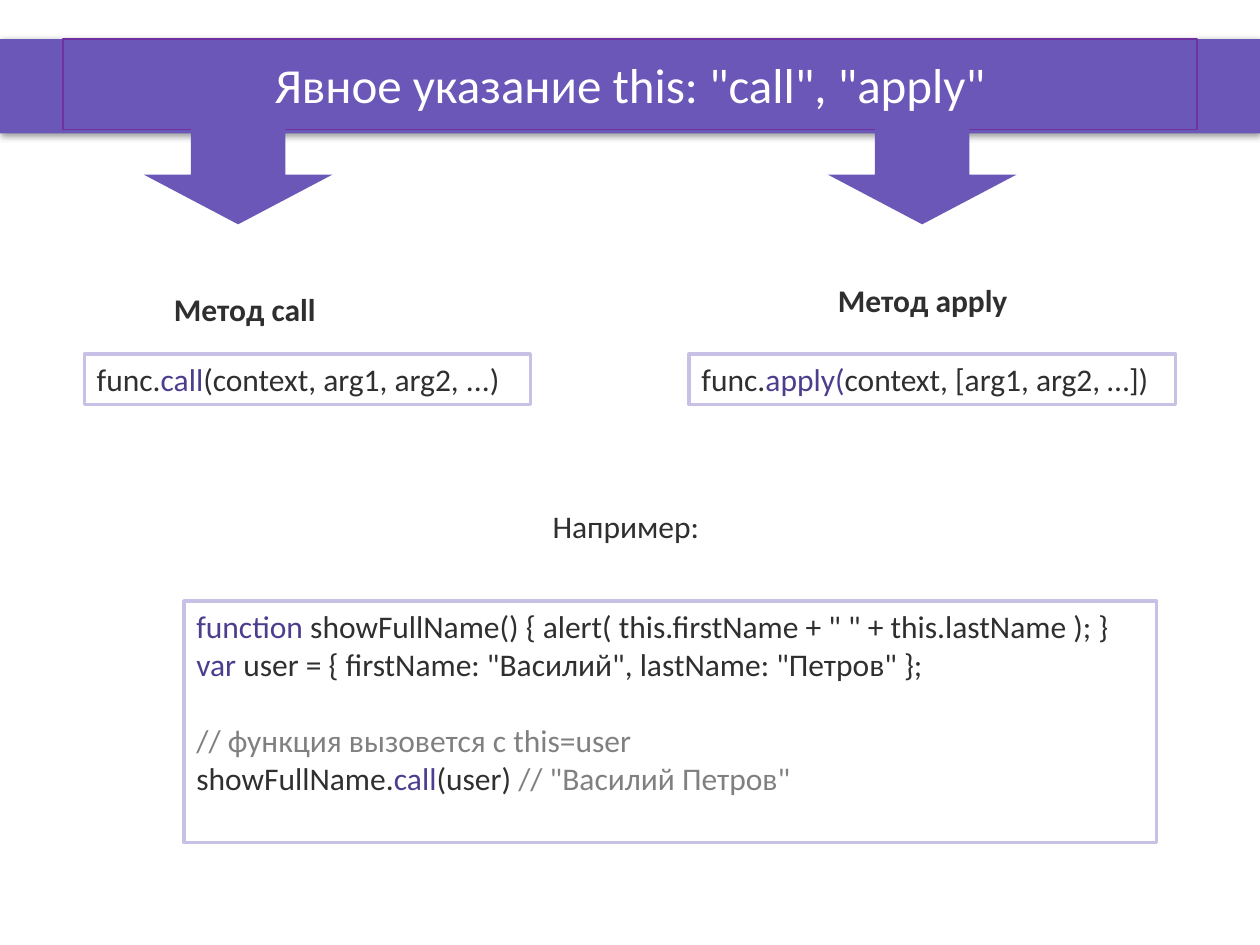
"""Build the slide on setting this explicitly with call and apply."""
from lxml.etree import SubElement
from pptx import Presentation
from pptx.dml.color import RGBColor
from pptx.enum.shapes import MSO_SHAPE as Shape
from pptx.enum.text import MSO_ANCHOR as Anchor, MSO_AUTO_SIZE as AutoSize, PP_ALIGN as Align
from pptx.oxml.ns import qn
from pptx.util import Pt

PURPLE = RGBColor(0x6A, 0x57, 0xB7)
KEYWORD = RGBColor(0x4D, 0x3D, 0x8E)
INK = RGBColor(0x2F, 0x2F, 0x2F)
GREY = RGBColor(0x80, 0x80, 0x80)
LILAC = RGBColor(0xC8, 0xC1, 0xE5)
PLUM = RGBColor(0x70, 0x30, 0xA0)
WHITE = RGBColor(0xFF, 0xFF, 0xFF)
FONT = "Calibri"
LINE_HEIGHT = 22

TITLE = 'Явное указание this: "call", "apply"'
ARROW_LEFTS = (82.1, 473)
CAPTIONS = [
    ("Метод call", (31, 162, 329, 29), {"inset_left": 68.4, "bold": True}),
    ("Метод apply", (399.6, 157, 283.7, 29), {"inset_left": 79.2, "bold": True}),
    ("Например: ", (31, 264.2, 657.4, 138.2),
     {"inset_top": 3.6 + LINE_HEIGHT, "align": Align.CENTER}),
]
CODE_BOXES = [
    ((48.2, 202.3, 254.9, 29), [
        [("func.", INK), ("call", KEYWORD), ("(context, arg1, arg2, ...) ", INK)],
    ]),
    ((393.8, 202.3, 277.9, 29), [
        [("func.", INK), ("apply(", KEYWORD), ("context, [arg1, arg2, …])", INK)],
    ]),
    ((105.1, 343.4, 555.8, 138.2), [
        [("function ", KEYWORD),
         ('showFullName() { alert( this.firstName + " " + this.lastName ); } ', INK)],
        [("var ", KEYWORD),
         ('user = { firstName: "Василий", lastName: "Петров" };', INK)],
        [("// функция вызовется с this=user ", GREY)],
        [("showFullName.", INK), ("call", KEYWORD), ("(user) ", INK),
         ('// "Василий Петров"', GREY)],
    ]),
]


def write(box, lines, size=18, bold=False, align=Align.LEFT, anchor=Anchor.TOP,
          inset_left=7.2, inset_top=3.6):
    frame = box.text_frame
    frame.word_wrap = True
    frame.auto_size = AutoSize.NONE
    frame.vertical_anchor = anchor
    frame.margin_left, frame.margin_top = Pt(inset_left), Pt(inset_top)
    for index, line in enumerate(lines):
        para = frame.add_paragraph() if index else frame.paragraphs[0]
        para.alignment = align
        if index and line[0][0].startswith("//"):
            para.space_before = Pt(LINE_HEIGHT)
        for text, color in line:
            span = para.add_run()
            span.text = text
            span.font.name, span.font.size, span.font.bold = FONT, Pt(size), bold
            span.font.color.rgb = color


def add_block(kind, place, fill, line=None):
    block = slide.shapes.add_shape(kind, *map(Pt, place))
    block.shadow.inherit = False
    block.fill.solid()
    block.fill.fore_color.rgb = fill
    if line is None:
        block.line.fill.background()
    else:
        block.line.color.rgb = line
        block.line.width = Pt(2)
    return block


def add_shadow(block):
    effects = block._element.spPr.find(qn("a:effectLst"))
    shadow = SubElement(effects, qn("a:outerShdw"), blurRad=str(Pt(4)), dist=str(Pt(1)),
                        dir="5400000", algn="t", rotWithShape="0")
    color = SubElement(shadow, qn("a:srgbClr"), val="000000")
    SubElement(color, qn("a:alpha"), val="40000")


deck = Presentation()
deck.slide_width, deck.slide_height = Pt(720), Pt(540)
slide = deck.slides.add_slide(deck.slide_layouts[5])

banner = add_block(Shape.RECTANGLE, (0, 22.3, 720, 54), PURPLE)
add_shadow(banner)

title = slide.shapes.title
banner._element.addnext(title._element)
title.left, title.top, title.width, title.height = map(Pt, (36, 22.3, 648, 51.8))
title.line.color.rgb = PLUM
title.line.width = Pt(0.75)
write(title, [[(TITLE, WHITE)]], size=28, align=Align.CENTER, anchor=Anchor.MIDDLE)

for left in ARROW_LEFTS:
    add_block(Shape.DOWN_ARROW, (left, 71.3, 108, 56.9), PURPLE)

for text, place, style in CAPTIONS:
    write(slide.shapes.add_textbox(*map(Pt, place)), [[(text, INK)]], **style)

for place, lines in CODE_BOXES:
    write(add_block(Shape.RECTANGLE, place, WHITE, LILAC), lines)

deck.save("out.pptx")
